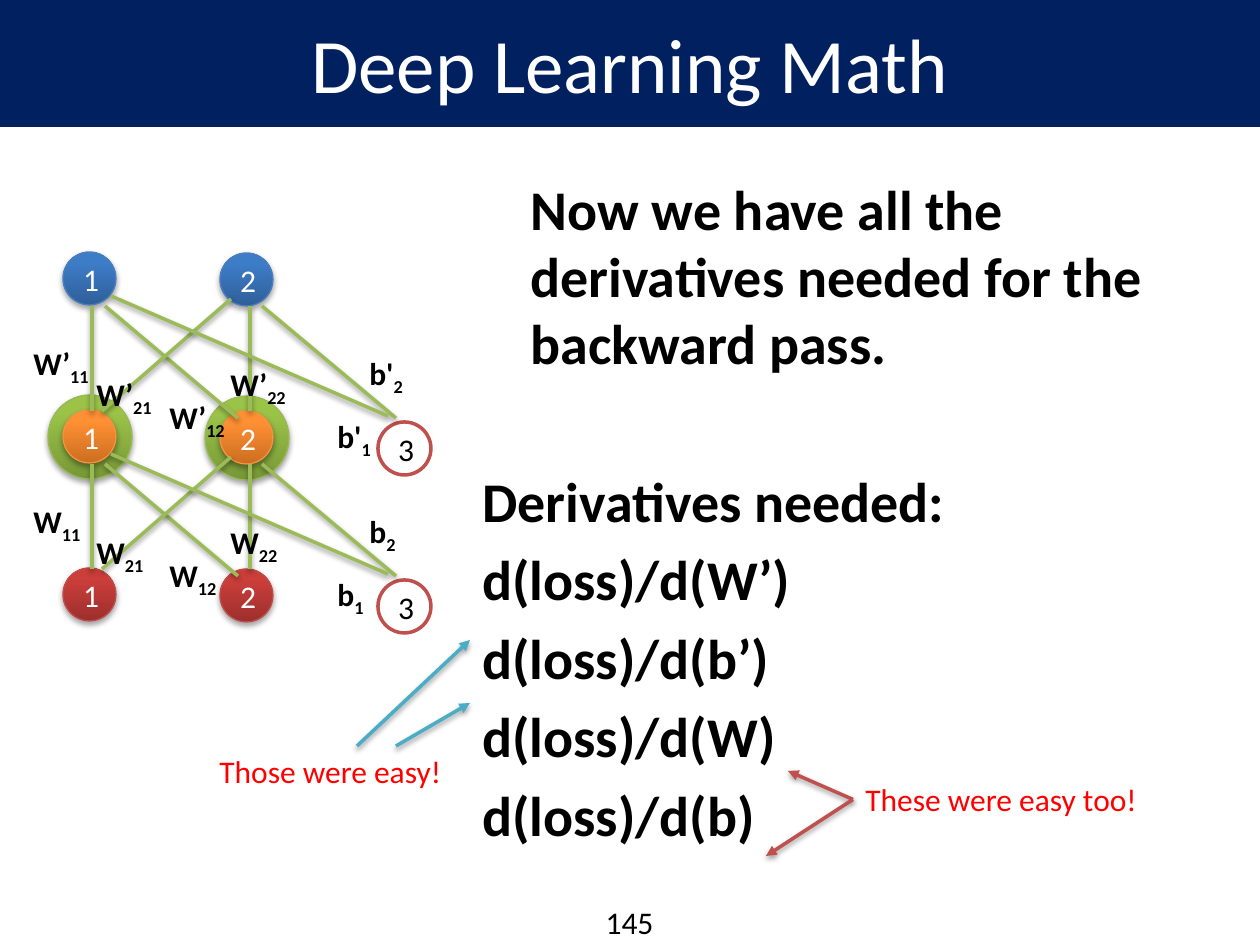
from lxml import etree
from pptx import Presentation
from pptx.dml.color import RGBColor
from pptx.enum.shapes import MSO_CONNECTOR, MSO_SHAPE
from pptx.enum.text import MSO_ANCHOR, PP_ALIGN
from pptx.oxml.ns import qn
from pptx.util import Emu, Pt

STRAIGHT = MSO_CONNECTOR.STRAIGHT
OVAL = MSO_SHAPE.OVAL
MIDDLE = MSO_ANCHOR.MIDDLE
CENTER, LEFT = PP_ALIGN.CENTER, PP_ALIGN.LEFT
TITLE_ONLY = 5
PX = 914400 / 126
NODE, HALO, COLUMN, LAYER = 53, 84, 157, 158
COLORS = {
    "navy": "002060", "white": "FFFFFF", "black": "000000", "note": "FF0000",
    "edge": "9BBB59", "teal": "4BACC6", "red": "C0504D",
}
BALLS = {
    "output": ("2F5F99", "3D7CC7", "4B7EBC"),
    "hidden": ("CC6E20", "FF9034", "F69240"),
    "input": ("9C2F2D", "CB3E3A", "BF4C48"),
    "halo": ("779737", "9BC348", "98B955"),
}
EDGES = [
    (29, 54, 29, 159), (187, 54, 187, 159), (199, 54, 333, 166),
    (42, 54, 175, 166), (168, 47, 39, 159), (48, 44, 325, 164),
]
LABELS = [
    ("W", "11", -42, 86), ("W", "21", 21, 117), ("W", "12", 94, 140),
    ("W", "22", 155, 107), ("b", "1", 262, 159), ("b", "2", 294, 96),
]
LABEL_WIDTHS = {"W’": 84, "W": 76, "b'": 60, "b": 53}


def px(*values):
    """Turn pixel lengths into EMU."""
    return [Emu(round(v * PX)) for v in values]


def rgb(value):
    """Return the colour for a name in COLORS or a hex string."""
    return RGBColor.from_string(COLORS.get(value, value))


def write(p, text, size=18, color="black", bold=False, align=LEFT, sub=False):
    """Add one formatted run to a paragraph."""
    p.alignment = align
    r = p.add_run()
    r.text = text
    r.font.name, r.font.size, r.font.bold = "Calibri", Pt(size), bold
    r.font.color.rgb = rgb(color)
    if sub:
        r.font._element.set("baseline", "-25000")


def add_box(s, x, y, w, h, wrap=False):
    """Add an empty text box."""
    box = s.shapes.add_textbox(*px(x, y, w, h))
    box.text_frame.word_wrap = wrap
    return box


def add_shadow(effects, alpha, dist):
    """Fill an effect list with a soft shadow cast downwards."""
    shadow = etree.SubElement(effects, qn("a:outerShdw"), blurRad="40000",
                              dist=str(dist), dir="5400000", rotWithShape="0")
    black = etree.SubElement(shadow, qn("a:srgbClr"), val=COLORS["black"])
    etree.SubElement(black, qn("a:alpha"), val=str(alpha * 1000))


def add_line(s, ends, color, arrow=False):
    """Add a shadowed straight connector, with an arrowhead if wanted."""
    line = s.shapes.add_connector(STRAIGHT, *px(*ends))
    line.line.color.rgb, line.line.width = rgb(color), Pt(2)
    sppr = line._element.spPr
    if arrow:
        etree.SubElement(sppr.find(qn("a:ln")), qn("a:tailEnd"), type="triangle")
    add_shadow(etree.SubElement(sppr, qn("a:effectLst")), 38, 20000)
    return line


def add_circle(s, x, y, size, line, width, text="", color="white"):
    """Add an outlined circle with a centred number."""
    sp = s.shapes.add_shape(OVAL, *px(x, y, size, size))
    sp.shadow.inherit = False
    sp.line.color.rgb, sp.line.width = rgb(line), Pt(width)
    sp.text_frame.vertical_anchor = MIDDLE
    if text:
        write(sp.text_frame.paragraphs[0], text, color=color, align=CENTER)
    return sp


def add_ball(s, x, y, size, kind, text=""):
    """Add a shaded circle of one of the kinds in BALLS."""
    dark, light, line = BALLS[kind]
    sp = add_circle(s, x, y, size, line, 0.75, text)
    sp.fill.gradient()
    sp.fill.gradient_angle = 90
    first, last = sp.fill.gradient_stops
    first.color.rgb, last.color.rgb = rgb(dark), rgb(light)
    last.position = 0.8
    add_shadow(sp._element.spPr.find(qn("a:effectLst")), 35, 23000)


def add_weights(s, x, y, marks):
    """Draw the bias node, edges and labels between two layers."""
    bias = add_circle(s, x + 315, y + 170, NODE, "red", 2, "3", "black")
    bias.fill.solid()
    bias.fill.fore_color.rgb = rgb("white")
    for x1, y1, x2, y2 in EDGES:
        add_line(s, (x + x1, y + y1, x + x2, y + y2), "edge")
    for letter, index, dx, dy in LABELS:
        name = letter + marks.get(letter, "")
        p = add_box(s, x + dx, y + dy, LABEL_WIDTHS[name], 51).text_frame.paragraphs[0]
        write(p, name, bold=True)
        write(p, index, bold=True, sub=True)


def add_network(s, x, y):
    """Draw the three-layer network."""
    inset = (HALO - NODE) // 2
    for col in range(2):
        add_ball(s, x + col * COLUMN - inset, y + LAYER + col - inset, HALO, "halo")
    for row, kind in enumerate(("output", "hidden", "input")):
        for col in range(2):
            add_ball(s, x + col * COLUMN, y + row * LAYER + col, NODE, kind, str(col + 1))
    for row, marks in enumerate(({"W": "’", "b": "'"}, {})):
        add_weights(s, x, y + row * LAYER, marks)


def add_title(s, w, h):
    """Format the title placeholder as a full-width band."""
    title = s.shapes.title
    title.left, title.top, title.width, title.height = px(0, 0, w, h)
    title.fill.solid()
    title.fill.fore_color.rgb = title.line.color.rgb = rgb("navy")
    title.line.width = Pt(0.75)
    title.text_frame.vertical_anchor = MIDDLE
    write(title.text_frame.paragraphs[0], "Deep Learning Math", 44, "white", align=CENTER)


def add_body(s, x, y, w, h):
    """Write the statement and the list of derivatives."""
    tf = add_box(s, x, y, w, h, wrap=True).text_frame
    p = tf.paragraphs[0]
    p._p.get_or_add_pPr().set("marL", str(px(48)[0]))
    write(p, "Now we have all the derivatives needed for the backward pass.", 32, bold=True)
    lines = ["Derivatives needed:"] + [f"d(loss)/d({v})" for v in ("W’", "b’", "W", "b")]
    for i, text in enumerate(lines):
        p = tf.add_paragraph()
        p.space_before = Pt(6.4 if i else 51.8)
        write(p, text, 32, bold=True)


def add_notes(s, x, y):
    """Add the red remarks and their arrows."""
    first = add_box(s, x, y, 250, 51)
    write(first.text_frame.paragraphs[0], "Those were easy!", color="note")
    for x1, x2, y2 in ((150, 263, -106), (189, 263, -43)):
        add_line(s, (x + x1, y, x + x2, y + y2), "teal", arrow=True)
    second = add_box(s, x + 646, y + 28, 300, 51)
    write(second.text_frame.paragraphs[0], "These were easy too!", color="note")
    for x2, y2 in ((581, 25), (559, 110)):
        line = add_line(s, (x + 646, y + 53, x + x2, y + y2), "red", arrow=True)
        line.begin_connect(second, 1)


def main():
    """Build and save the slide."""
    prs = Presentation()
    prs.slide_width, prs.slide_height = px(1260, 945)
    s = prs.slides.add_slide(prs.slide_layouts[TITLE_ONLY])
    add_title(s, 1260, 126)
    add_body(s, 470, 168, 747, 746)
    add_network(s, 63, 252)
    add_notes(s, 207, 746)
    number = add_box(s, 577, 897, 105, 51)
    write(number.text_frame.paragraphs[0], "145", align=CENTER)
    prs.save("out.pptx")


if __name__ == "__main__":
    main()
